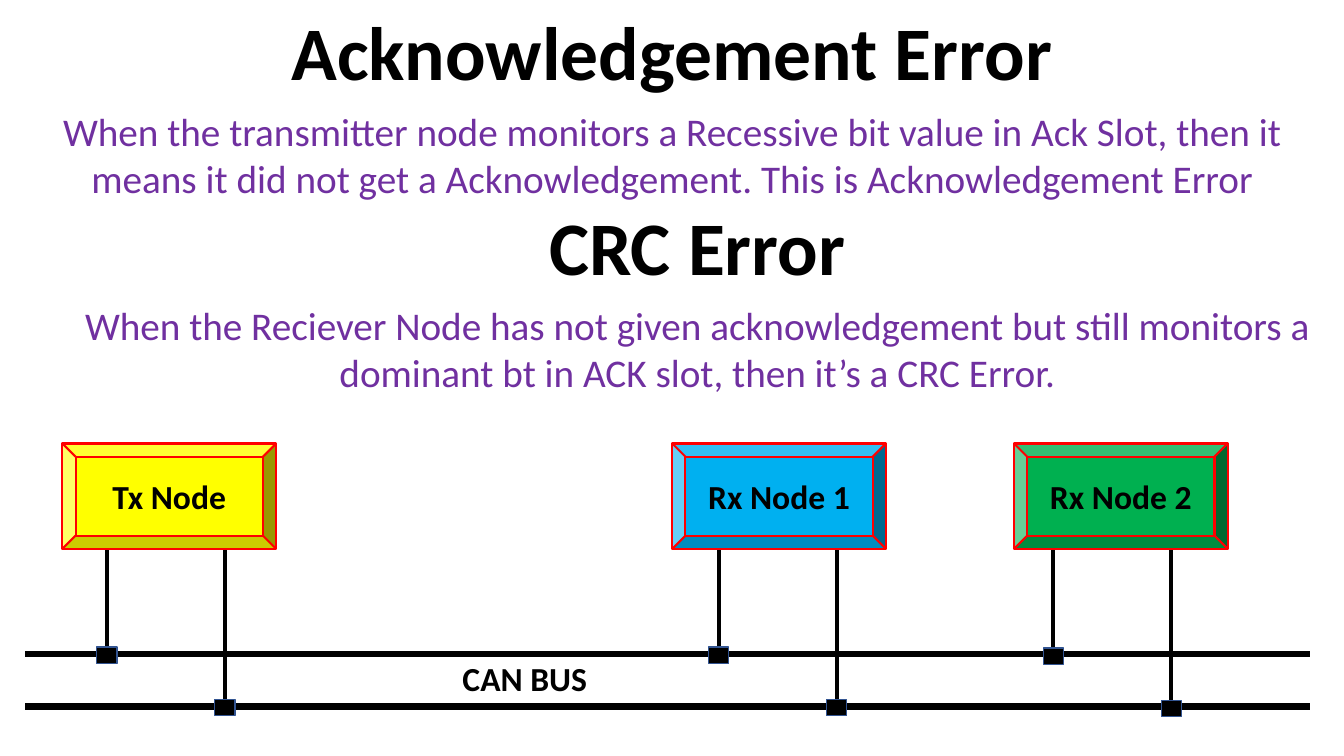
import pptx
import pptx.util
import pptx.dml.color
import pptx.enum.shapes
import pptx.enum.text
import pptx.oxml.ns
import lxml.etree

Pt = pptx.util.Pt
SHAPES = pptx.enum.shapes.MSO_SHAPE
ALIGN = pptx.enum.text.PP_ALIGN
ANCHOR = pptx.enum.text.MSO_ANCHOR


def paint(target, color):
    target.rgb = pptx.dml.color.RGBColor.from_string(color)


def write(box, text, color, align, anchor, font_format):
    frame = box.text_frame
    frame.word_wrap = True
    frame.auto_size = pptx.enum.text.MSO_AUTO_SIZE.NONE
    frame.vertical_anchor = anchor
    para = frame.paragraphs[0]
    for name, value in {"alignment": align, "space_before": Pt(0), "line_spacing": 1.0}.items():
        setattr(para, name, value)
    span = para.add_run()
    span.text = text
    for name, value in font_format.items():
        setattr(span.font, name, value)
    paint(span.font.color, color)


heading_format = {"name": "Calibri", "size": Pt(54), "bold": True}
body_format = {"name": "Calibri", "size": Pt(28), "bold": False}
label_format = {"name": "Calibri", "size": Pt(24), "bold": True}

deck = pptx.Presentation()
deck.slide_width = Pt(960)
deck.slide_height = Pt(540)
page = deck.slides.add_slide(deck.slide_layouts[4])
holders = {holder.placeholder_format.idx: holder for holder in page.placeholders}
for index in (2, 4):
    holders[index].element.getparent().remove(holders[index].element)

crc_heading = page.shapes.add_textbox(Pt(18), Pt(139), Pt(960), Pt(72.7))
texts = [
    (holders[0], 0, 0, 72.7, "Acknowledgement Error", "000000", heading_format),
    (holders[1], 0, 72.7, 75, "When the transmitter node monitors a Recessive bit value in Ack Slot, then it means it did not get a Acknowledgement. This is Acknowledgement Error", "7030A0", body_format),
    (crc_heading, 18, 139, 72.7, "CRC Error", "000000", heading_format),
    (holders[3], 18, 211.7, 75, "When the Reciever Node has not given acknowledgement but still monitors a dominant bt in ACK slot, then it’s a CRC Error.", "7030A0", body_format),
]
for box, left, top, height, text, color, font_format in texts:
    place = {"left": Pt(left), "top": Pt(top), "width": Pt(960), "height": Pt(height)}
    for name, value in place.items():
        setattr(box, name, value)
    write(box, text, color, ALIGN.CENTER, ANCHOR.TOP, font_format)

bus_lines = (467.3, 504.7)
wires = [(18, y, 936, y, 4.5) for y in bus_lines]
nodes = [
    ("Tx Node", 44.6, 76.3, 0, "FFFF00"),
    ("Rx Node 1", 480.2, 513.4, 0, "00B0F0"),
    ("Rx Node 2", 724.3, 752.4, 0.7, "00B050"),
]
blocks = []
for label, left, leg, drop, color in nodes:
    blocks.append((SHAPES.BEVEL, left, 316.8, 152.6, 75.2, color, "FF0000", 1.5, label))
    for x, y in zip((leg, leg + 84.3), bus_lines):
        wires.append((x, 392.4 + drop, x, y + drop, 3))
        blocks.append((SHAPES.RECTANGLE, x - 7.2, y + drop - 5, 14.4, 11.5, "000000", "325491", 1, ""))

for x1, y1, x2, y2, weight in wires:
    wire = page.shapes.add_connector(
        pptx.enum.shapes.MSO_CONNECTOR.STRAIGHT, Pt(x1), Pt(y1), Pt(x2), Pt(y2))
    paint(wire.line.color, "000000")
    wire.line.width = Pt(weight)
    lxml.etree.SubElement(wire.element.spPr, pptx.oxml.ns.qn("a:effectLst"))

for kind, left, top, width, height, color, edge, weight, label in blocks:
    block = page.shapes.add_shape(kind, Pt(left), Pt(top), Pt(width), Pt(height))
    block.shadow.inherit = False
    block.fill.solid()
    paint(block.fill.fore_color, color)
    paint(block.line.color, edge)
    block.line.width = Pt(weight)
    if label:
        write(block, label, "000000", ALIGN.CENTER, ANCHOR.MIDDLE, label_format)

bus_label = page.shapes.add_textbox(Pt(323.3), Pt(466.6), Pt(175.7), Pt(36))
write(bus_label, "CAN BUS", "000000", ALIGN.LEFT, ANCHOR.TOP, label_format)

deck.save("out.pptx")
